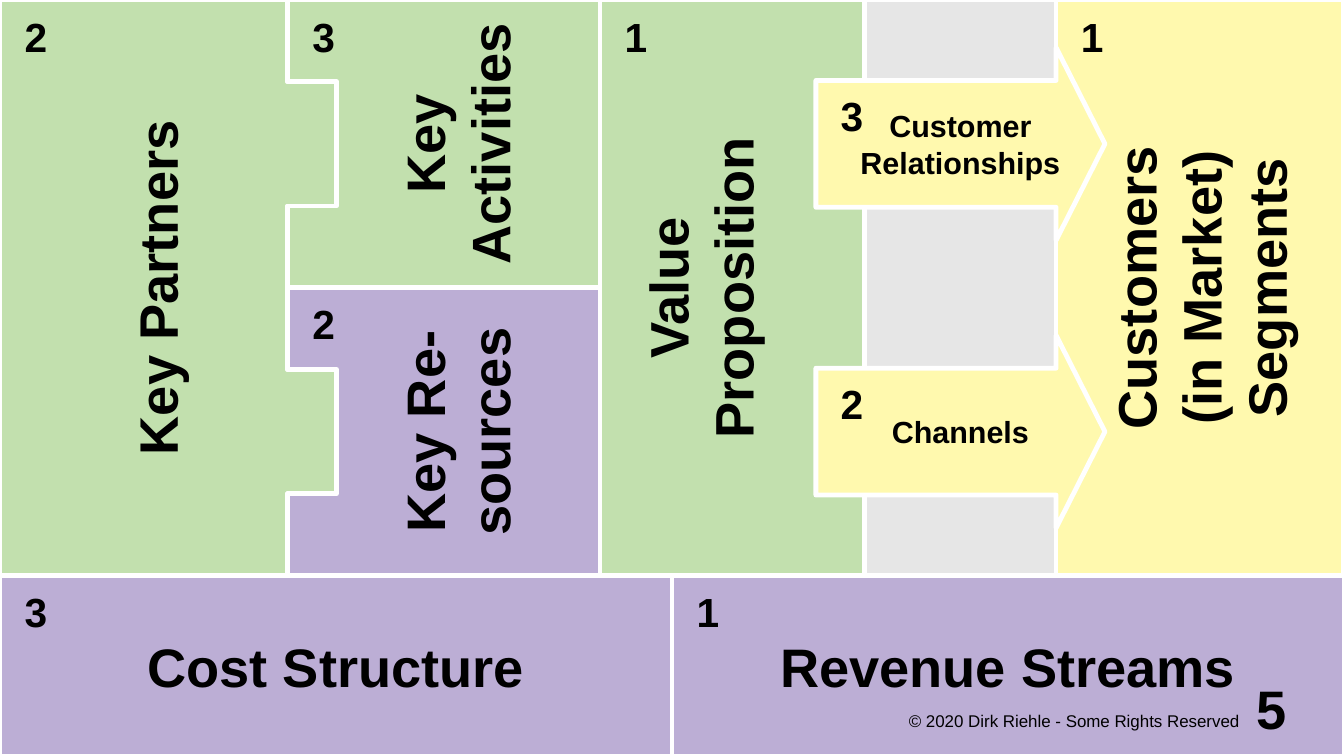
from pptx import Presentation
from pptx.dml.color import RGBColor
from pptx.enum.shapes import MSO_SHAPE
from pptx.enum.text import MSO_ANCHOR, PP_ALIGN
from pptx.util import Inches, Pt

WIDTH, HEIGHT = 11.02, 6.2
GREEN, PURPLE, YELLOW, GRAY = "C2E0AE", "BCAED5", "FFF9AE", "E6E6E6"
WHITE, BLACK = "FFFFFF", "000000"

ACTIVITIES_X, VALUE_X, GAP_X, CUSTOMERS_X = 2.36, 4.92, 7.09, 8.66
MIDDLE_X = WIDTH / 2
UPPER_HEIGHT = 4.72
HALF_HEIGHT = UPPER_HEIGHT / 2
LOWER_HEIGHT = HEIGHT - UPPER_HEIGHT
TAB_DEPTH, TAB_TOP, TAB_BOTTOM = 0.4, 0.67, 1.69
ARROW_X, ARROW_TIP_X = 6.69, 9.06
ARROW_TOP, ARROW_HEIGHT, ARROW_INSET = 0.39, 1.58, 0.27
SHAFT_TOP = ARROW_TOP + ARROW_INSET
SHAFT_HEIGHT = ARROW_HEIGHT - 2 * ARROW_INSET

RECTANGLES = [
    (GAP_X, 0, CUSTOMERS_X - GAP_X, UPPER_HEIGHT, GRAY),
    (CUSTOMERS_X, 0, WIDTH - CUSTOMERS_X, UPPER_HEIGHT, YELLOW),
    (VALUE_X, 0, GAP_X - VALUE_X, UPPER_HEIGHT, GREEN),
    (0, UPPER_HEIGHT, MIDDLE_X, LOWER_HEIGHT, PURPLE),
    (MIDDLE_X, UPPER_HEIGHT, MIDDLE_X, LOWER_HEIGHT, PURPLE),
]
VERTICAL_LABELS = [
    (["Key Partners"], 0, 0, 2.56, UPPER_HEIGHT),
    (["Key", "Activities"], 2.56, 0, 2.36, HALF_HEIGHT),
    (["Key Re-sources"], 2.56, HALF_HEIGHT, 2.36, HALF_HEIGHT),
    (["Value", "Proposition"], VALUE_X, 0, 1.63, UPPER_HEIGHT),
    (["Customers", "(in Market)", "Segments"], CUSTOMERS_X, 0, 2.36, UPPER_HEIGHT),
]
LOWER_LABELS = [("Cost Structure", 0), ("Revenue Streams", MIDDLE_X)]
ARROW_LABELS = [("Customer Relationships", 0), ("Channels", HALF_HEIGHT)]
NUMBERS = [
    ("2", 0, 0),
    ("3", ACTIVITIES_X, 0),
    ("2", ACTIVITIES_X, HALF_HEIGHT),
    ("1", VALUE_X, 0),
    ("1", CUSTOMERS_X, 0),
    ("3", ARROW_X, 0.65),
    ("2", ARROW_X, 0.65 + HALF_HEIGHT),
    ("3", 0, UPPER_HEIGHT),
    ("1", MIDDLE_X, UPPER_HEIGHT),
]


def color(value):
    return RGBColor.from_string(value)


def style(shape, fill):
    shape.shadow.inherit = False
    shape.fill.solid()
    shape.fill.fore_color.rgb = color(fill)
    shape.line.color.rgb = color(WHITE)
    shape.line.width = Pt(2.83)


def add_rectangle(slide, left, top, width, height, fill):
    shape = slide.shapes.add_shape(
        MSO_SHAPE.RECTANGLE, Inches(left), Inches(top), Inches(width), Inches(height))
    style(shape, fill)


def add_outline(slide, points, fill):
    start, *others = [(Inches(x), Inches(y)) for x, y in points]
    builder = slide.shapes.build_freeform(*start)
    builder.add_line_segments(others, close=True)
    style(builder.convert_to_shape(), fill)


def add_text(slide, lines, left, top, width, height, size, bold=True,
             alignment=PP_ALIGN.CENTER, anchor=MSO_ANCHOR.MIDDLE, inset=0.08):
    box = slide.shapes.add_textbox(Inches(left), Inches(top), Inches(width), Inches(height))
    frame = box.text_frame
    frame.word_wrap = True
    frame.vertical_anchor = anchor
    frame.margin_left = frame.margin_right = Inches(inset)
    frame.margin_top = frame.margin_bottom = Inches(inset)
    frame.text = "\n".join(lines)
    for paragraph in frame.paragraphs:
        paragraph.alignment = alignment
        paragraph.font.name = "Arial"
        paragraph.font.size = Pt(size)
        paragraph.font.bold = bold
        paragraph.font.color.rgb = color(BLACK)
    return box


def add_vertical_text(slide, lines, left, top, width, height):
    shift = (width - height) / 2
    box = add_text(slide, lines, left + shift, top - shift, height, width, 32)
    box.rotation = 270


def notched_edge(top):
    tab_x = ACTIVITIES_X + TAB_DEPTH
    return [(ACTIVITIES_X, top + TAB_TOP), (tab_x, top + TAB_TOP),
            (tab_x, top + TAB_BOTTOM), (ACTIVITIES_X, top + TAB_BOTTOM)]


def arrow_points(offset):
    top = ARROW_TOP + offset
    bottom = top + ARROW_HEIGHT
    return [(ARROW_X, bottom - ARROW_INSET), (ARROW_X, top + ARROW_INSET),
            (CUSTOMERS_X, top + ARROW_INSET), (CUSTOMERS_X, top),
            (ARROW_TIP_X, (top + bottom) / 2), (CUSTOMERS_X, bottom),
            (CUSTOMERS_X, bottom - ARROW_INSET)]


def main():
    presentation = Presentation()
    presentation.slide_width = Inches(WIDTH)
    presentation.slide_height = Inches(HEIGHT)
    slide = presentation.slides.add_slide(presentation.slide_layouts[6])

    partners = [(0, UPPER_HEIGHT), (0, 0), (ACTIVITIES_X, 0), *notched_edge(0),
                *notched_edge(HALF_HEIGHT), (ACTIVITIES_X, UPPER_HEIGHT)]
    add_outline(slide, partners, GREEN)
    for top, fill in [(HALF_HEIGHT, PURPLE), (0, GREEN)]:
        bottom = top + HALF_HEIGHT
        add_outline(slide, [(ACTIVITIES_X, top), *notched_edge(top), (ACTIVITIES_X, bottom),
                            (VALUE_X, bottom), (VALUE_X, top)], fill)
    for rectangle in RECTANGLES:
        add_rectangle(slide, *rectangle)

    for label in VERTICAL_LABELS:
        add_vertical_text(slide, *label)
    for label, left in LOWER_LABELS:
        add_text(slide, [label], left, UPPER_HEIGHT, MIDDLE_X, LOWER_HEIGHT, 32)
    for label, offset in ARROW_LABELS:
        add_outline(slide, arrow_points(offset), YELLOW)
        add_text(slide, [label], ARROW_X, SHAFT_TOP + offset,
                 ARROW_TIP_X - ARROW_X, SHAFT_HEIGHT, 18)
    for number, left, top in NUMBERS:
        add_text(slide, [number], left, top + 0.03, 0.59, 0.53, 24)

    add_text(slide, ["© 2020 Dirk Riehle - Some Rights Reserved"], 7.01, 5.83, 3.15, 0.28, 10,
             bold=False, alignment=PP_ALIGN.RIGHT, anchor=MSO_ANCHOR.TOP, inset=0)
    add_text(slide, ["5"], 9.76, 5.51, 0.79, 0.59, 32, alignment=PP_ALIGN.RIGHT, inset=0)
    presentation.save("out.pptx")


if __name__ == "__main__":
    main()
